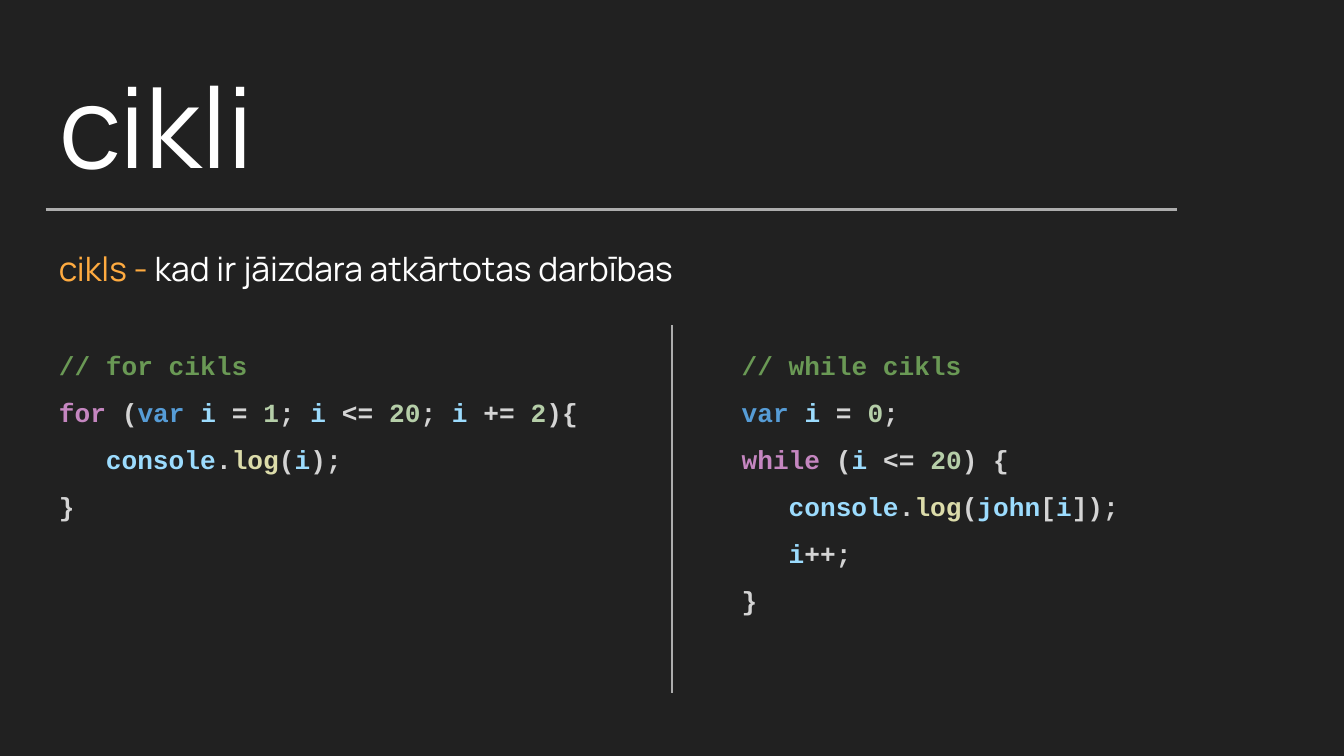
import pptx
import pptx.util
import pptx.dml.color
import pptx.enum.shapes
import pptx.enum.text
import pptx.oxml.ns
from lxml import etree

Inches, Pt = pptx.util.Inches, pptx.util.Pt
RGB = pptx.dml.color.RGBColor.from_string

# Theme: colours, fonts and sizes
THEME = {
    "back": "212121", "rule": "ADADAD", "text": "FFFFFF", "term": "FFAB40",
    "note": "6A9955", "flow": "C586C0", "decl": "569CD6", "name": "9CDCFE",
    "num": "B5CEA8", "call": "DCDCAA", "sign": "D4D4D4",
    "sans": "Manrope", "mono": "Courier New",
    "title": 60, "lead": 18, "code": 14,
}

# Content: each line is (indent level, [(colour role, text), ...])
TITLE = [(0, [("text", "cikli")])]
LEAD = [(0, [("term", "cikls - "),
             ("text", "kad ir jāizdara atkārtotas darbības")])]
FOR = [
    (0, [("note", "// for cikls")]),
    (0, [("flow", "for"), ("sign", " ("), ("decl", "var "), ("name", "i"),
         ("sign", " = "), ("num", "1"), ("sign", "; "), ("name", "i"),
         ("sign", " <= "), ("num", "20"), ("sign", "; "), ("name", "i"),
         ("sign", " += "), ("num", "2"), ("sign", "){")]),
    (1, [("name", "console"), ("sign", "."), ("call", "log"), ("sign", "("),
         ("name", "i"), ("sign", ");")]),
    (0, [("sign", "}")]),
]
WHILE = [
    (0, [("note", "// while cikls")]),
    (0, [("decl", "var "), ("name", "i"), ("sign", " = "), ("num", "0"),
         ("sign", ";")]),
    (0, [("flow", "while"), ("sign", " ("), ("name", "i"), ("sign", " <= "),
         ("num", "20"), ("sign", ") {")]),
    (1, [("name", "console"), ("sign", "."), ("call", "log"), ("sign", "("),
         ("name", "john"), ("sign", "["), ("name", "i"), ("sign", "]);")]),
    (1, [("name", "i"), ("sign", "++;")]),
    (0, [("sign", "}")]),
]

# Layout in inches
WIDE = 10
HIGH = WIDE * 9 / 16
LEFT, RIGHT, TOP = 0.34, 5.42, 2.38
STEP = 0.35  # three code characters
RULES = [(LEFT, 1.56, 8.76, 1.56, 1.5), (5, 2.42, 5, 5.16, 0.75)]

# Text formats
HEAD = {"font": {"name": THEME["sans"], "size": Pt(THEME["title"]), "bold": False},
        "para": {"line_spacing": 1.0}}
BODY = {"font": {"name": THEME["sans"], "size": Pt(THEME["lead"])},
        "para": {"line_spacing": 1.15, "space_after": Pt(16)}}
CODE = {"font": {"name": THEME["mono"], "size": Pt(THEME["code"]), "bold": True},
        "para": {"line_spacing": 1.5}}
FRAME = {"word_wrap": True,
         "auto_size": pptx.enum.text.MSO_AUTO_SIZE.NONE,
         "vertical_anchor": pptx.enum.text.MSO_ANCHOR.TOP,
         **{"margin_" + side: Inches(0.1)
            for side in ("left", "top", "right", "bottom")}}


def apply(item, form):
    for key, value in form.items():
        setattr(item, key, value)


def write(shape, lines, form):
    frame = shape.text_frame
    apply(frame, FRAME)
    for n, (level, parts) in enumerate(lines):
        para = frame.add_paragraph() if n else frame.paragraphs[0]
        para.alignment = pptx.enum.text.PP_ALIGN.LEFT
        apply(para, form["para"])
        if level:
            para._p.get_or_add_pPr().set("marL", str(Inches(level * STEP)))
        for role, text in parts:
            run = para.add_run()
            run.text = text
            apply(run.font, form["font"])
            run.font.color.rgb = RGB(THEME[role])


def draw(slide, x1, y1, x2, y2, width):
    line = slide.shapes.add_connector(
        pptx.enum.shapes.MSO_CONNECTOR.STRAIGHT,
        Inches(x1), Inches(y1), Inches(x2), Inches(y2))
    line.line.color.rgb = RGB(THEME["rule"])
    line.line.width = Pt(width)
    etree.SubElement(line._element.spPr, pptx.oxml.ns.qn("a:effectLst"))


def main():
    deck = pptx.Presentation()
    deck.slide_width, deck.slide_height = Inches(WIDE), Inches(HIGH)
    slide = deck.slides.add_slide(deck.slide_layouts[5])
    slide.background.fill.solid()
    slide.background.fill.fore_color.rgb = RGB(THEME["back"])

    # Title
    title = slide.shapes.title
    apply(title, {"left": Inches(LEFT), "top": Inches(0.32),
                  "width": Inches(9.46), "height": Inches(1.11)})
    write(title, TITLE, HEAD)

    # Definition and the two code samples
    for lines, form, box in [
        (LEAD, BODY, (LEFT, 1.7, 8.47, 0.45)),
        (FOR, CODE, (LEFT, TOP, 4.14, 1.75)),
        (WHILE, CODE, (RIGHT, TOP, 3.62, 2.18)),
    ]:
        write(slide.shapes.add_textbox(*map(Inches, box)), lines, form)

    # Rules
    for rule in RULES:
        draw(slide, *rule)

    deck.save("out.pptx")


if __name__ == "__main__":
    main()
